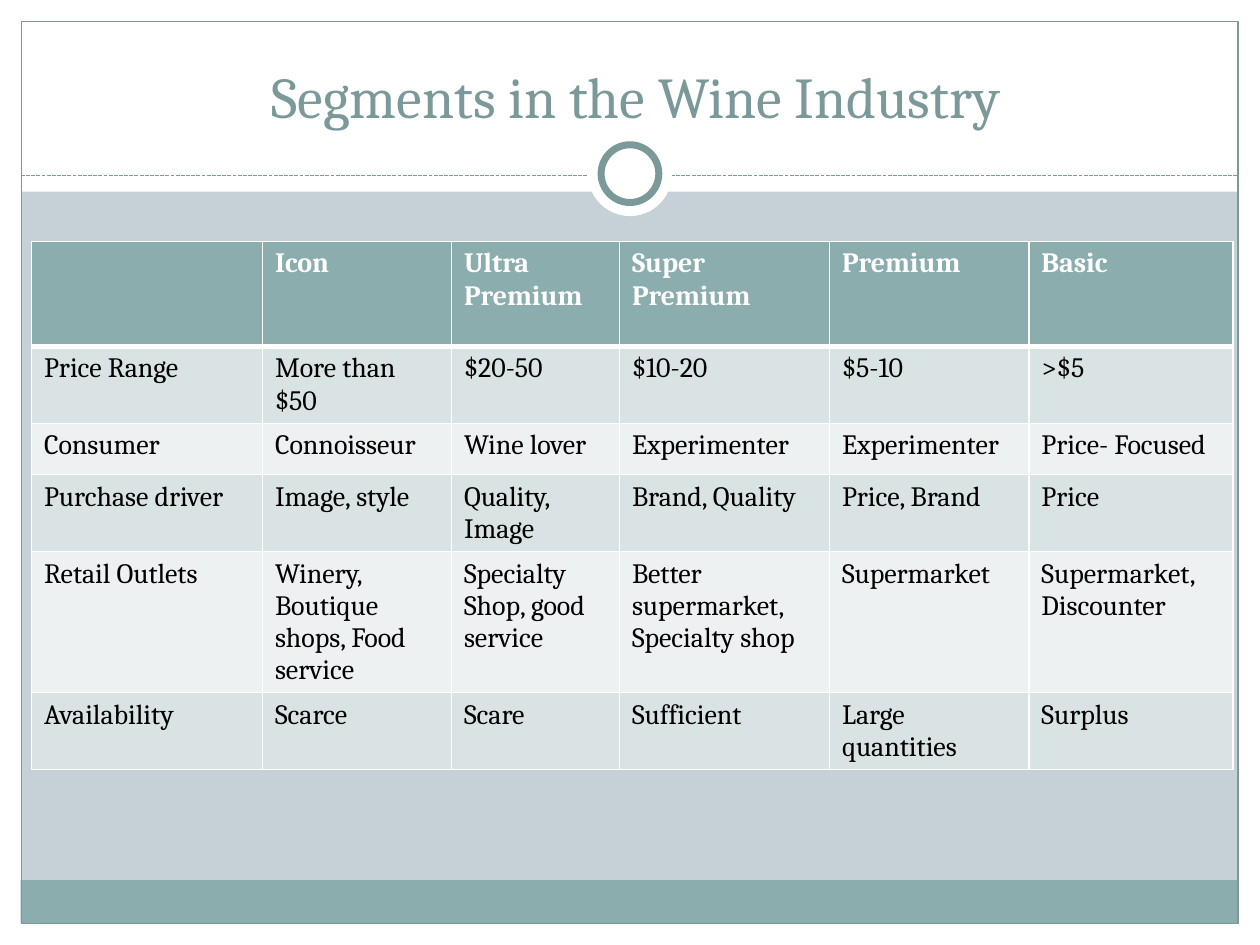
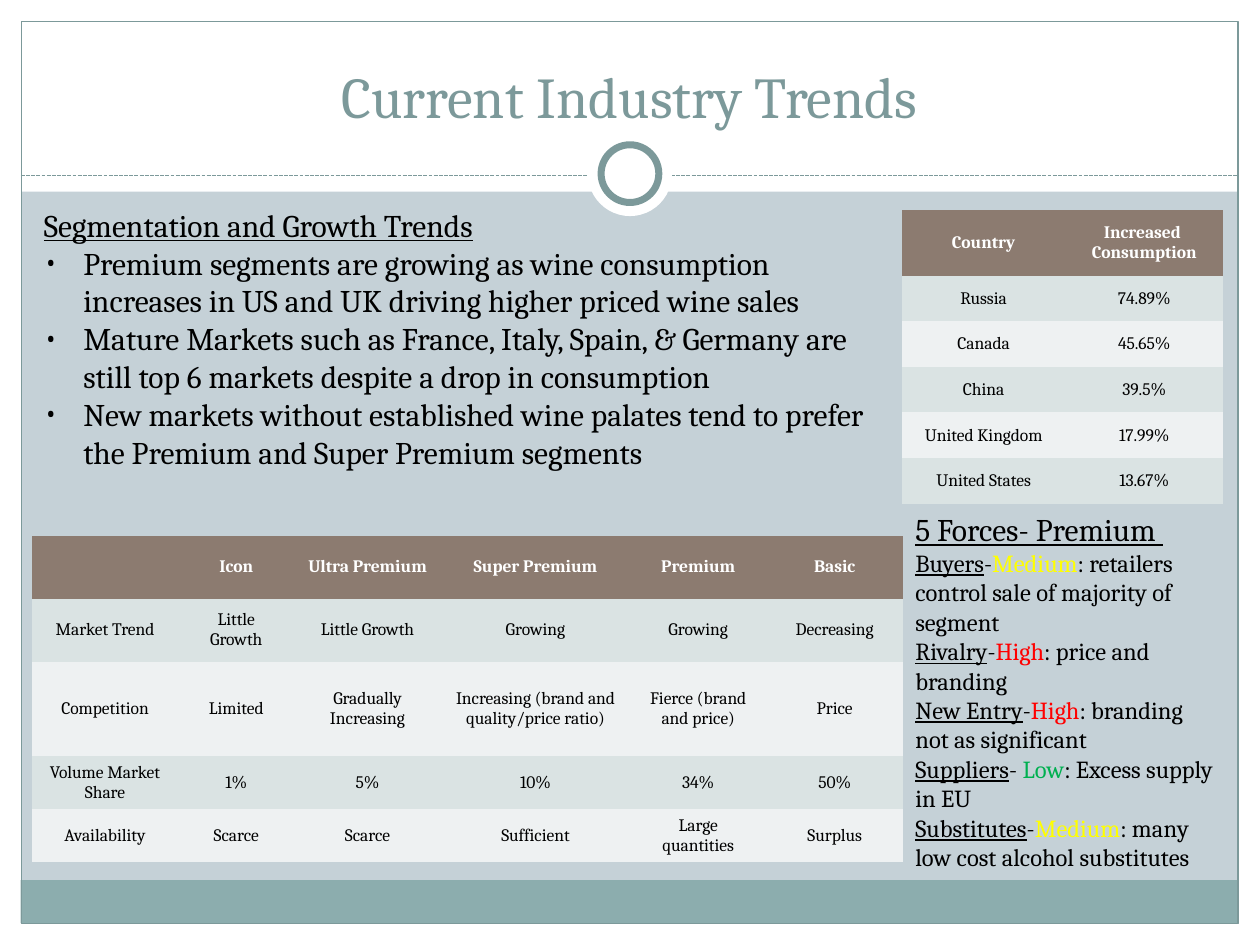
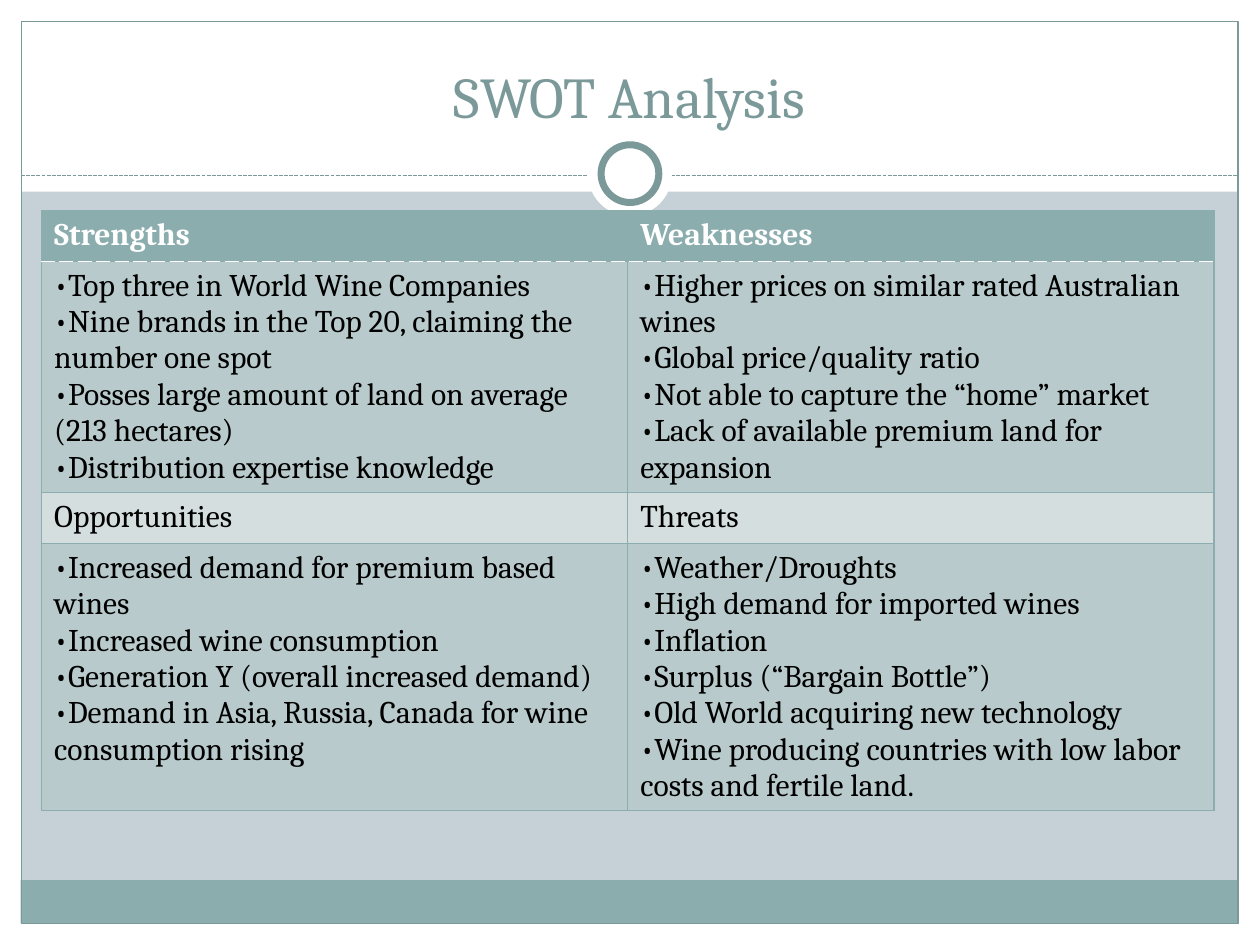
from dataclasses import dataclass
from typing import Optional, Union

from lxml import etree
from pptx import Presentation
from pptx.dml.color import RGBColor
from pptx.enum import dml, shapes, text
from pptx.oxml import ns
from pptx.util import Pt

FONT = "Cambria"
WHITE = RGBColor(0xFF, 0xFF, 0xFF)
BLACK = RGBColor(0, 0, 0)
BACKGROUND = RGBColor(0xC5, 0xD1, 0xD7)
TEAL = RGBColor(0x8C, 0xAD, 0xAE)
DARK_TEAL = RGBColor(0x7C, 0x99, 0x9A)
BROWN = RGBColor(0x8C, 0x7B, 0x70)
DARK_BAND = RGBColor(0xDA, 0xE3, 0xE3)
LIGHT_BAND = RGBColor(0xEE, 0xF1, 0xF2)
SWOT_LIST = RGBColor(0xB8, 0xCA, 0xCB)
SWOT_HEADING = RGBColor(0xD5, 0xDE, 0xDE)
YELLOW = RGBColor(0xFF, 0xFF, 0)
RED = RGBColor(0xFF, 0, 0)
GREEN = RGBColor(0, 0xB0, 0x50)
PLAIN_TABLE_STYLE = "{2D5ABB26-0587-4C30-8999-92F81FD0307C}"

RECTANGLE = shapes.MSO_SHAPE.RECTANGLE
OVAL = shapes.MSO_SHAPE.OVAL
Cell = Union[str, tuple[str, ...]]


@dataclass(frozen=True)
class Panel:
    kind: shapes.MSO_SHAPE
    left: float
    top: float
    width: float
    height: float
    fill: Optional[RGBColor] = None
    line: Optional[RGBColor] = None
    line_width: float = 0.75


@dataclass(frozen=True)
class Border:
    color: RGBColor
    width: float
    dash: str = "solid"


@dataclass(frozen=True)
class Grid:
    left: float
    top: float
    widths: list[float]
    heights: list[float]
    rows: list[list[Cell]]
    size: float
    header_fill: RGBColor
    bands: tuple[RGBColor, RGBColor] = (DARK_BAND, LIGHT_BAND)
    border: Optional[Border] = None
    header_rule: Optional[Border] = None
    centered: bool = False


@dataclass(frozen=True)
class Force:
    name: str
    separator: str
    level: str
    color: RGBColor
    reason: str


FRAME = [
    Panel(RECTANGLE, 0, 528, 720, 12, WHITE),
    Panel(RECTANGLE, 0, 0, 720, 109.5, WHITE),
    Panel(RECTANGLE, 0, 0, 12, 540, WHITE),
    Panel(RECTANGLE, 708, 0, 12, 540, WHITE),
    Panel(RECTANGLE, 11.75, 503, 695.5, 24.5, TEAL),
    Panel(RECTANGLE, 12.25, 12.25, 695.25, 515.5, None, DARK_TEAL),
]
RING = [
    Panel(OVAL, 336, 75.5, 48, 48, WHITE),
    Panel(OVAL, 343.5, 82.75, 33, 33, WHITE, DARK_TEAL, 4),
]

SEGMENTS = Grid(
    18, 138, [132, 108, 96, 120, 114, 116.6], [60, 44, 29.2, 44, 80.5, 44],
    [
        ["", "Icon", "Ultra Premium", "Super Premium", "Premium", "Basic"],
        ["Price Range", "More than $50", "$20-50", "$10-20", "$5-10", ">$5"],
        ["Consumer", "Connoisseur", "Wine lover", "Experimenter", "Experimenter",
         "Price- Focused"],
        ["Purchase driver", "Image, style", "Quality, Image", "Brand, Quality",
         "Price, Brand", "Price"],
        ["Retail Outlets", "Winery, Boutique shops, Food service",
         "Specialty Shop, good service", "Better supermarket, Specialty shop",
         "Supermarket", "Supermarket, Discounter"],
        ["Availability", "Scarce", "Scare", "Sufficient", "Large quantities", "Surplus"],
    ],
    16, TEAL, border=Border(WHITE, 1), header_rule=Border(WHITE, 3),
)
TRENDS = Grid(
    18, 306, [84, 66, 84, 108, 78, 78], [36, 36, 54, 30, 30],
    [
        ["", "Icon", "Ultra Premium", "Super Premium", "Premium", "Basic"],
        ["Market Trend", "Little Growth", "Little Growth", "Growing", "Growing", "Decreasing"],
        ["Competition", "Limited", "Gradually Increasing",
         "Increasing (brand and quality/price ratio)", "Fierce (brand and price)", "Price"],
        ["Volume Market Share", "1%", "5%", "10%", "34%", "50%"],
        ["Availability", "Scarce", "Scarce", "Sufficient", "Large quantities", "Surplus"],
    ],
    10, BROWN, centered=True,
)
CONSUMPTION = Grid(
    515.25, 120, [93.6, 90], [37.5] + [26.1] * 5,
    [
        ["Country", "Increased \nConsumption"],
        ["Russia", "74.89%"],
        ["Canada", "45.65%"],
        ["China", "39.5%"],
        ["United Kingdom", "17.99%"],
        ["United States", "13.67%"],
    ],
    10, BROWN, centered=True,
)
SWOT = Grid(
    23.75, 120.25, [335, 335], [29.25, 132, 29.25, 152.5],
    [
        ["Strengths", "Weaknesses"],
        [
            ("Top three in World Wine Companies",
             "Nine brands in the Top 20, claiming the number one spot",
             "Posses large amount of land on average (213 hectares)",
             "Distribution expertise knowledge"),
            ("Higher prices on similar rated Australian wines",
             "Global price/quality ratio",
             "Not able to capture the “home” market",
             "Lack of available premium land for expansion"),
        ],
        ["Opportunities", "Threats"],
        [
            ("Increased demand for premium based wines",
             "Increased wine consumption",
             "Generation Y (overall increased demand)",
             "Demand in Asia, Russia, Canada for wine consumption rising"),
            ("Weather/Droughts",
             "High demand for imported wines",
             "Inflation",
             "Surplus (“Bargain Bottle”)",
             "Old World acquiring new technology",
             "Wine producing countries with low labor costs and fertile land."),
        ],
    ],
    18, TEAL, (SWOT_LIST, SWOT_HEADING),
    Border(TEAL, 0.75), Border(WHITE, 0.9, "sysDash"),
)
GROWTH_POINTS = [
    "Premium segments are growing as wine consumption increases in US and UK "
    "driving higher priced wine sales",
    "Mature Markets such as France, Italy, Spain, & Germany are still top 6 markets "
    "despite a drop in consumption",
    "New markets without established wine palates tend to prefer the Premium and "
    "Super Premium segments",
]
FORCES = [
    Force("Buyers", "-", "Medium", YELLOW, ": retailers control sale of majority of segment"),
    Force("Rivalry", "-", "High", RED, ": price and branding"),
    Force("New Entry", "-", "High", RED, ": branding not as significant"),
    Force("Suppliers", "- ", "Low", GREEN, ": Excess supply in EU"),
    Force("Substitutes", "-", "Medium", YELLOW, ": many low cost alcohol substitutes"),
]


def style_font(font, size: float, color: RGBColor = BLACK, bold: bool = False,
               underline: bool = False) -> None:
    font.name = FONT
    font.size = Pt(size)
    font.color.rgb = color
    font.bold = bold
    font.underline = underline


def add_bullet(paragraph, indent: float = 0) -> None:
    properties = paragraph._p.get_or_add_pPr()
    properties.set("marL", str(Pt(indent)))
    properties.set("indent", str(-Pt(indent)))
    etree.SubElement(properties, ns.qn("a:buFont"), typeface=FONT)
    etree.SubElement(properties, ns.qn("a:buChar"), char="•")


def add_panel(slide, panel: Panel):
    shape = slide.shapes.add_shape(
        panel.kind, Pt(panel.left), Pt(panel.top), Pt(panel.width), Pt(panel.height))
    shape.shadow.inherit = False
    if panel.fill is None:
        shape.fill.background()
    else:
        shape.fill.solid()
        shape.fill.fore_color.rgb = panel.fill
    if panel.line is None:
        shape.line.fill.background()
    else:
        shape.line.color.rgb = panel.line
        shape.line.width = Pt(panel.line_width)
    return shape


def add_dashed_rule(slide):
    rule = slide.shapes.add_connector(
        shapes.MSO_CONNECTOR.STRAIGHT, Pt(12), Pt(100.5), Pt(708), Pt(100.5))
    rule.line.color.rgb = DARK_TEAL
    rule.line.width = Pt(0.75)
    rule.line.dash_style = dml.MSO_LINE.SQUARE_DOT
    etree.SubElement(rule.element.spPr, ns.qn("a:effectLst"))
    return rule


def prepare_layout(layout, slide) -> None:
    layout.background.fill.solid()
    layout.background.fill.fore_color.rgb = BACKGROUND
    tree = layout.shapes.element
    for placeholder in list(layout.placeholders):
        if placeholder.placeholder_format.type == shapes.PP_PLACEHOLDER.TITLE:
            placeholder.left, placeholder.top = Pt(23.75), Pt(18)
            placeholder.width, placeholder.height = Pt(672), Pt(60)
        else:
            tree.remove(placeholder.element)
    decorations = [add_panel(slide, panel) for panel in FRAME]
    decorations.append(add_dashed_rule(slide))
    decorations += [add_panel(slide, panel) for panel in RING]
    for shape in decorations:
        tree.append(shape.element)


def set_title(slide, title: str) -> None:
    frame = slide.shapes.title.text_frame
    frame.text = title
    frame.vertical_anchor = text.MSO_ANCHOR.BOTTOM
    paragraph = frame.paragraphs[0]
    paragraph.alignment = text.PP_ALIGN.CENTER
    style_font(paragraph.font, 33, DARK_TEAL)


def set_border(cell, side: str, border: Border) -> None:
    line = etree.SubElement(
        cell._tc.get_or_add_tcPr(), ns.qn(f"a:ln{side}"), w=str(Pt(border.width)))
    fill = etree.SubElement(line, ns.qn("a:solidFill"))
    etree.SubElement(fill, ns.qn("a:srgbClr"), val=str(border.color))
    etree.SubElement(line, ns.qn("a:prstDash"), val=border.dash)


def fill_cell(cell, grid: Grid, row_index: int, content: Cell) -> None:
    header = row_index == 0
    bulleted = isinstance(content, tuple)
    if grid.border:
        for side in "LRTB":
            if side == "T" and row_index == 1:
                continue
            set_border(cell, side, grid.header_rule if header and side == "B" else grid.border)
    cell.fill.solid()
    cell.fill.fore_color.rgb = grid.header_fill if header else grid.bands[(row_index - 1) % 2]
    cell.text = "\n".join(content) if bulleted else content
    if grid.centered:
        cell.vertical_anchor = text.MSO_ANCHOR.MIDDLE
    for paragraph in cell.text_frame.paragraphs:
        if grid.centered:
            paragraph.alignment = text.PP_ALIGN.CENTER
        if bulleted:
            add_bullet(paragraph)
        style_font(paragraph.font, grid.size, WHITE if header else BLACK, bold=header)


def add_grid(slide, grid: Grid) -> None:
    shape = slide.shapes.add_table(
        len(grid.heights), len(grid.widths), Pt(grid.left), Pt(grid.top),
        Pt(sum(grid.widths)), Pt(sum(grid.heights)))
    for style in shape.element.iter(ns.qn("a:tableStyleId")):
        style.text = PLAIN_TABLE_STYLE
    table = shape.table
    for column, width in zip(table.columns, grid.widths):
        column.width = Pt(width)
    for row_index, (row, height) in enumerate(zip(table.rows, grid.heights)):
        row.height = Pt(height)
        for cell, content in zip(row.cells, grid.rows[row_index]):
            fill_cell(cell, grid, row_index, content)


def add_headed_box(slide, left: float, top: float, width: float, height: float, heading: str):
    frame = slide.shapes.add_textbox(Pt(left), Pt(top), Pt(width), Pt(height)).text_frame
    frame.word_wrap = True
    frame.auto_size = text.MSO_AUTO_SIZE.SHAPE_TO_FIT_TEXT
    frame.text = heading
    style_font(frame.paragraphs[0].font, 18, underline=True)
    return frame


def add_growth_trends(slide) -> None:
    frame = add_headed_box(slide, 18, 114, 486, 204, "Segmentation and Growth Trends")
    for point in GROWTH_POINTS:
        paragraph = frame.add_paragraph()
        paragraph.text = point
        add_bullet(paragraph, 22.5)
        style_font(paragraph.font, 18)


def add_forces(slide) -> None:
    frame = add_headed_box(slide, 516, 288, 186, 216, "5 Forces- Premium ")
    for force in FORCES:
        paragraph = frame.add_paragraph()
        for words, color, underline in (
            (force.name, BLACK, True),
            (force.separator, BLACK, False),
            (force.level, force.color, False),
            (force.reason, BLACK, False),
        ):
            run = paragraph.add_run()
            run.text = words
            style_font(run.font, 14, color, underline=underline)


def main() -> None:
    presentation = Presentation()
    presentation.slide_width, presentation.slide_height = Pt(720), Pt(540)
    layout = presentation.slide_layouts[5]
    segments, trends, swot = [presentation.slides.add_slide(layout) for _ in range(3)]
    prepare_layout(layout, segments)

    set_title(segments, " Segments in the Wine Industry")
    add_grid(segments, SEGMENTS)

    set_title(trends, "Current Industry Trends")
    add_grid(trends, TRENDS)
    add_grid(trends, CONSUMPTION)
    add_growth_trends(trends)
    add_forces(trends)

    set_title(swot, "SWOT Analysis")
    add_grid(swot, SWOT)

    presentation.save("out.pptx")


if __name__ == "__main__":
    main()
